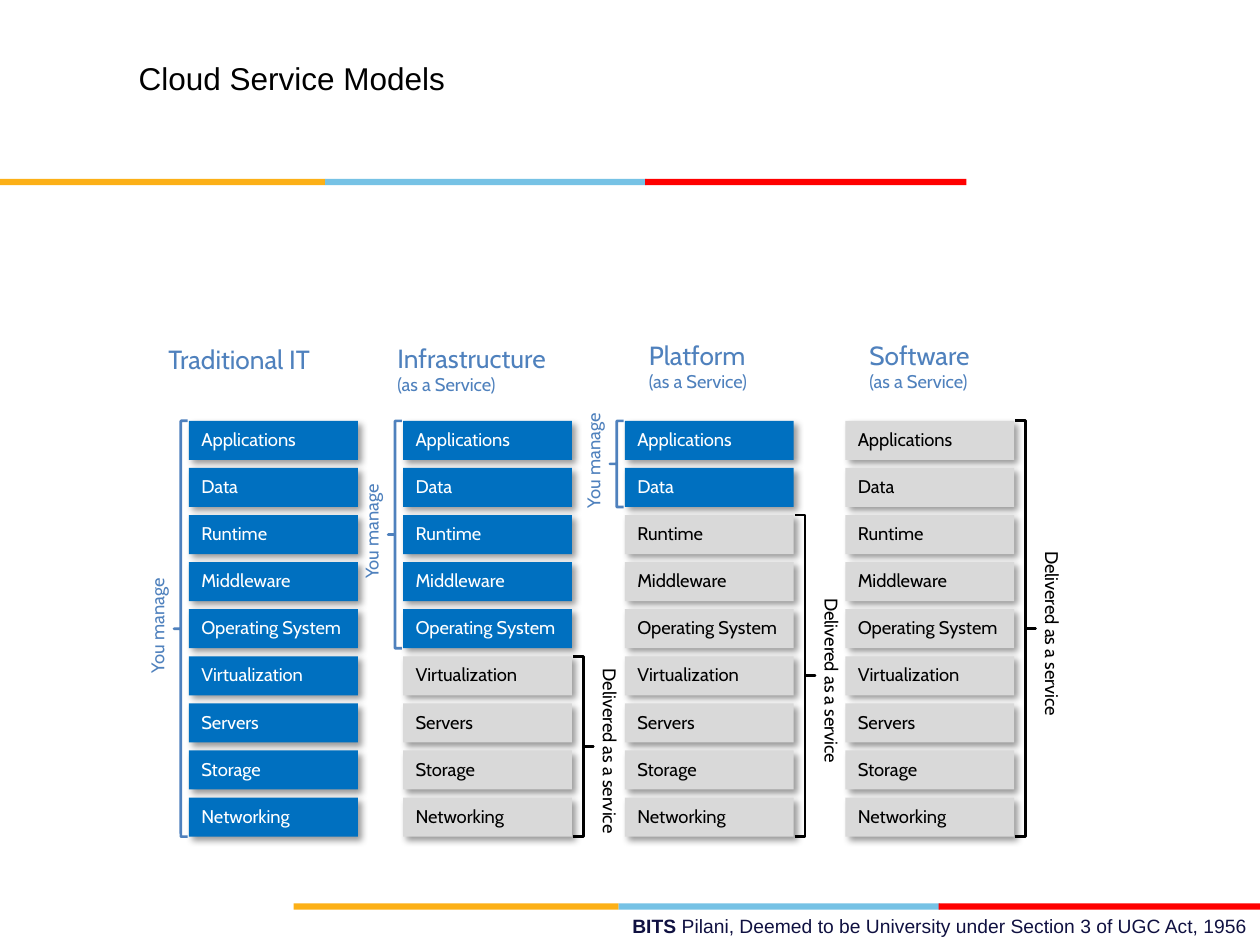
from lxml.etree import SubElement
from pptx import Presentation
from pptx.dml.color import RGBColor
from pptx.enum.shapes import MSO_SHAPE
from pptx.enum.text import MSO_ANCHOR, MSO_AUTO_SIZE, PP_ALIGN
from pptx.oxml import parse_xml
from pptx.oxml.ns import nsdecls, qn
from pptx.util import Inches, Pt

WHITE = RGBColor(0xFF, 0xFF, 0xFF)
BLACK = RGBColor(0x00, 0x00, 0x00)
STEEL = RGBColor(0x4F, 0x81, 0xBD)
BLUE = RGBColor(0x00, 0x70, 0xC0)
GREY = RGBColor(0xD9, 0xD9, 0xD9)
NAVY = RGBColor(0x10, 0x11, 0x41)
AMBER = RGBColor(0xFC, 0xB0, 0x17)
SKY = RGBColor(0x76, 0xC2, 0xE5)
RED = RGBColor(0xFF, 0x00, 0x00)

# Card grid, in inches
TOP, BOTTOM = 3.34, 6.64
CARD_W, CARD_H = 1.34, 0.31
LAYERS = ["Applications", "Data", "Runtime", "Middleware", "Operating System",
          "Virtualization", "Servers", "Storage", "Networking"]
PITCH = (BOTTOM - TOP - CARD_H) / (len(LAYERS) - 1)

# Heading, subheading, heading left and width, card left, layers you manage
MODELS = [
    ("Traditional IT", None, 1.14, 2.03, 1.5, 9),
    ("Infrastructure", "(as a Service)", 2.97, 1.76, 3.2, 5),
    ("Platform", "(as a Service)", 4.99, 1.27, 4.96, 2),
    ("Software", "(as a Service)", 6.74, 1.27, 6.71, 0),
]

SHADOW = (f'<a:effectLst {nsdecls("a")}><a:outerShdw blurRad="{Pt(4)}" dist="{Pt(3)}" '
          'dir="2700000" algn="tl" rotWithShape="0"><a:srgbClr val="000000">'
          '<a:alpha val="40000"/></a:srgbClr></a:outerShdw></a:effectLst>')


def write(p, text, size=10.5, font="Cabin", color=BLACK, bold=False, align=PP_ALIGN.LEFT):
    p.alignment = align
    r = p.add_run()
    r.text = text
    r.font.size = Pt(size)
    r.font.name = font
    r.font.color.rgb = color
    r.font.bold = bold


def add_box(shapes, kind, x, y, w, h, fill=None, line=None):
    sp = shapes.add_shape(kind, Inches(x), Inches(y), Inches(w), Inches(h))
    sp.shadow.inherit = False
    if fill is None:
        sp.fill.background()
    else:
        sp.fill.solid()
        sp.fill.fore_color.rgb = fill
    if line is None:
        sp.line.fill.background()
    else:
        sp.line.color.rgb = line
        sp.line.width = Pt(1.5)
    return sp


prs = Presentation()
prs.slide_width, prs.slide_height = Inches(10), Inches(7.5)
s = prs.slides.add_slide(prs.slide_layouts[5])

# Title
title = s.shapes.title
title.left, title.top, title.width, title.height = Inches(1), Inches(0.42), Inches(5), Inches(0.4)
title.text_frame.vertical_anchor = MSO_ANCHOR.TOP
title.text_frame.auto_size = MSO_AUTO_SIZE.NONE
write(title.text_frame.paragraphs[0], "Cloud Service Models", size=18, font="Arial")

# Three-colour rules
for left, top in [(0, 1.42), (2.33, 7.17)]:
    for dx, width, color in [(0, 2.58, AMBER), (2.58, 2.55, SKY), (5.12, 2.55, RED)]:
        add_box(s.shapes, MSO_SHAPE.RECTANGLE, left + dx, top, width, 0.05, fill=color)

# Footer
footer = s.shapes.add_textbox(Inches(3.58), Inches(7.21), Inches(6.42), Inches(0.29))
footer.text_frame.word_wrap = True
p = footer.text_frame.paragraphs[0]
for text, bold in [("BITS ", True),
                   ("Pilani, Deemed to be University under Section 3 of UGC Act, 1956", False)]:
    write(p, text, size=11, font="Arial", color=NAVY, bold=bold, align=PP_ALIGN.RIGHT)

for name, subtitle, head_x, head_w, card_x, managed in MODELS:
    heading = add_box(s.shapes, MSO_SHAPE.ROUNDED_RECTANGLE, head_x, 2.58, head_w, 4.06)
    tf = heading.text_frame
    tf.vertical_anchor = MSO_ANCHOR.TOP
    write(tf.paragraphs[0], name, size=15, color=STEEL)
    if subtitle:
        write(tf.add_paragraph(), subtitle, color=STEEL)

    stack = s.shapes.add_group_shape()
    for row, layer in enumerate(LAYERS):
        fill, ink = (BLUE, WHITE) if row < managed else (GREY, BLACK)
        card = add_box(stack.shapes, MSO_SHAPE.RECTANGLE, card_x, TOP + row * PITCH,
                       CARD_W, CARD_H, fill=fill)
        spPr = card._element.spPr
        spPr.replace(spPr.find(qn("a:effectLst")), parse_xml(SHADOW))
        card.text_frame.vertical_anchor = MSO_ANCHOR.MIDDLE
        card.text_frame.margin_top = Inches(0.03)
        card.text_frame.margin_bottom = Inches(0.05)
        write(card.text_frame.paragraphs[0], layer)
        card.text_frame.paragraphs[0].runs[0].font.color.rgb = ink

    # Brace and vertical label: yours on the left, the provider's on the right
    for first, end, text, color, vert, brace_dx, brace_w, label_dx, label_dy, label_h in [
            (0, managed, "You manage", STEEL, "vert270", -0.12, 0.11, -0.39, -0.01, 0.92),
            (managed, len(LAYERS), "Delivered as a service", BLACK, "eaVert",
             1.35, 0.16, 1.4, 0.03, 1.49)]:
        if first == end:
            continue
        y = TOP + first * PITCH
        h = (end - first - 1) * PITCH + CARD_H
        brace = add_box(s.shapes, MSO_SHAPE.LEFT_BRACE, card_x + brace_dx, y, brace_w, h,
                        line=color)
        brace.adjustments[0] = 0
        if brace_dx > 0:
            brace._element.spPr.find(qn("a:xfrm")).set("flipH", "1")
        label = s.shapes.add_textbox(Inches(card_x + label_dx),
                                     Inches(y + h / 2 - label_h / 2 + label_dy),
                                     Inches(0.38), Inches(label_h))
        tf = label.text_frame
        tf.word_wrap = False
        tf.auto_size = MSO_AUTO_SIZE.SHAPE_TO_FIT_TEXT
        tf._txBody.bodyPr.set("vert", vert)
        write(tf.paragraphs[0], text, color=color)

prs.save("out.pptx")
